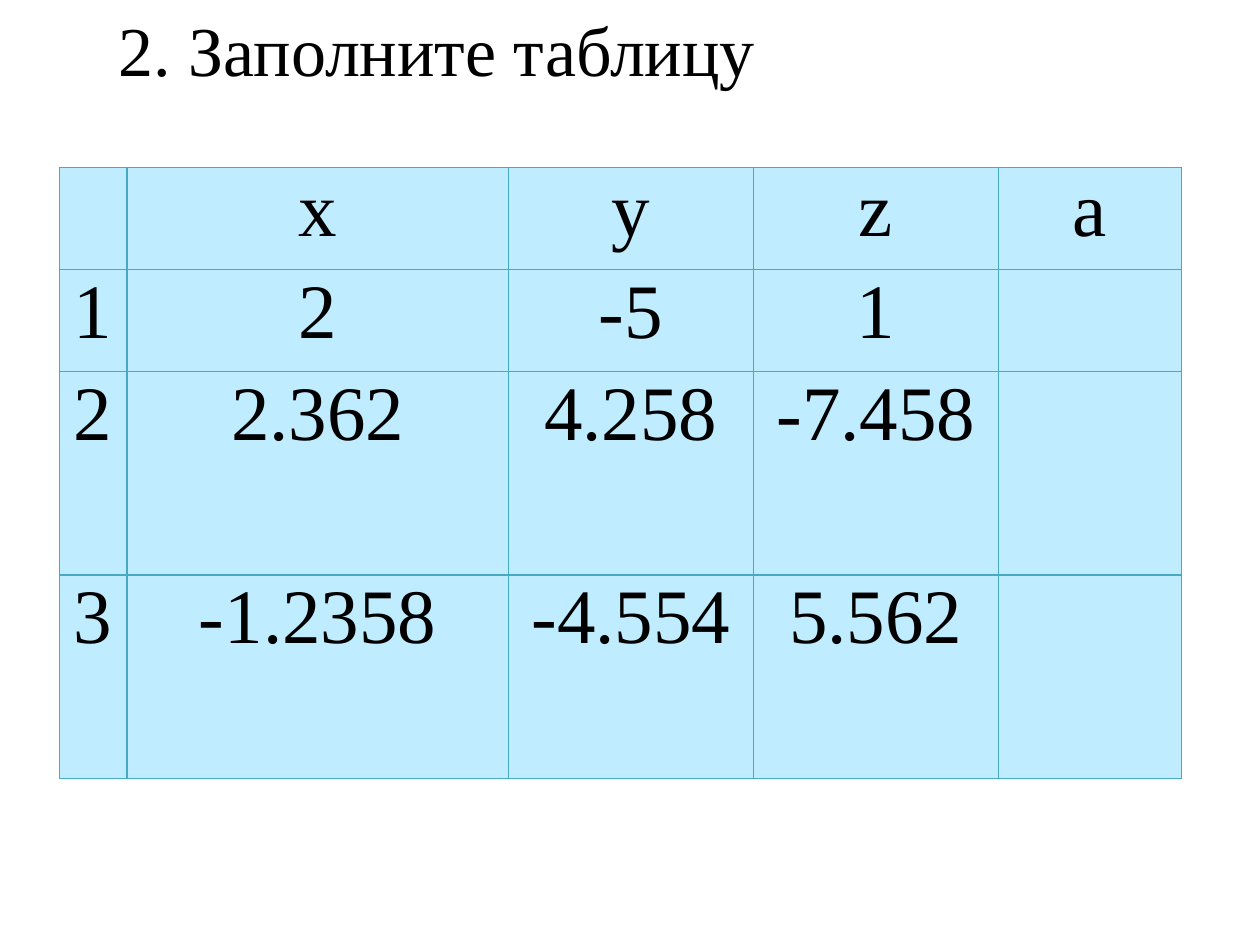
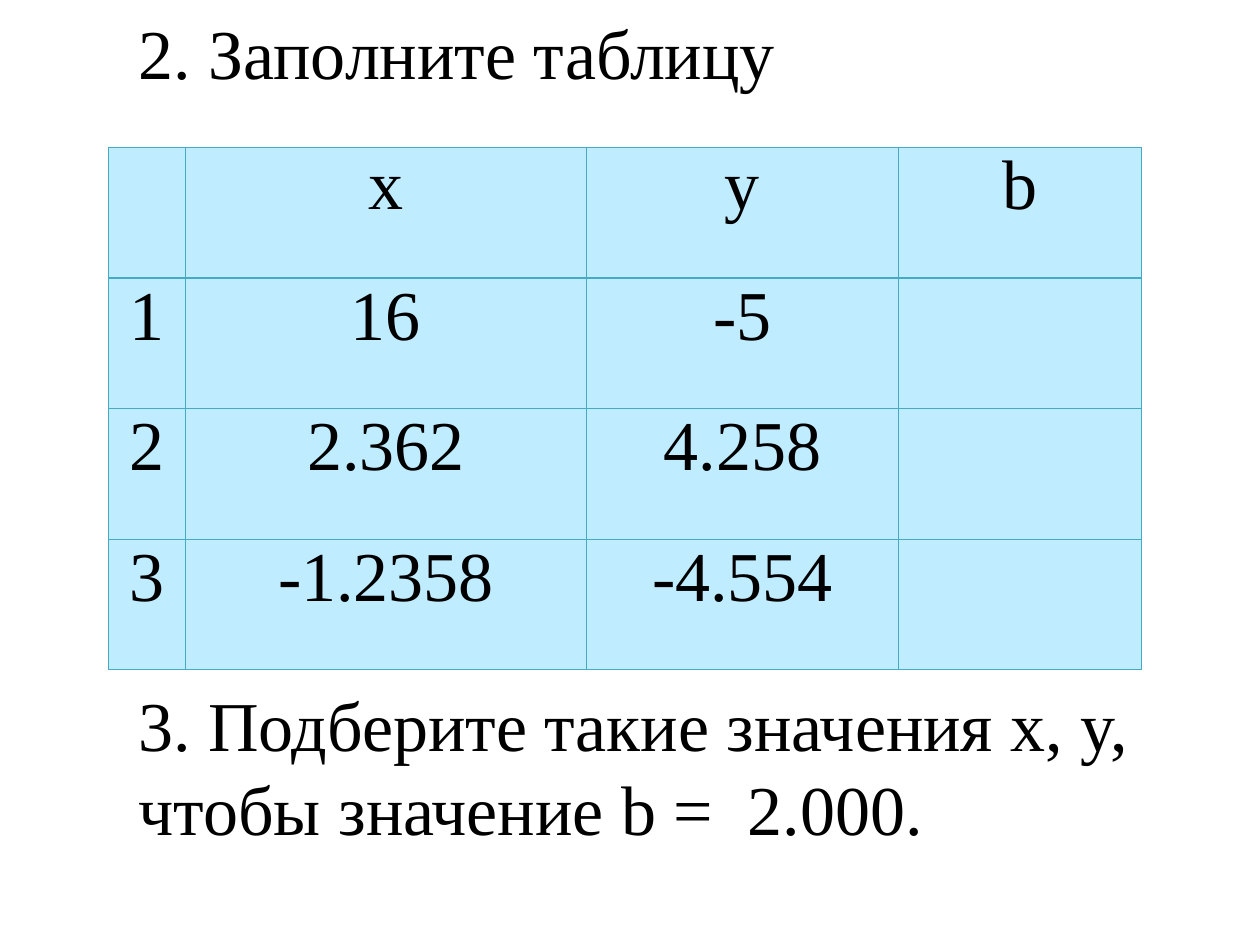
from lxml import etree
from pptx import Presentation
from pptx.dml.color import RGBColor
from pptx.enum import text
from pptx.oxml import ns
from pptx.util import Pt

COLORS = {"text": "000000", "cell": "C0ECFF", "border": "46AAC5"}
FONT = "Times New Roman"
TITLE = "2. Заполните таблицу"
TITLE_ONLY, TITLE_AND_BODY = 5, 1


class Deck:
    """Holds the shared style and the slide being filled."""

    def __init__(self):
        self.presentation = Presentation()
        self.presentation.slide_width = Pt(720)
        self.presentation.slide_height = Pt(540)
        self.slide = None

    def add_slide(self, layout):
        layouts = self.presentation.slide_layouts
        self.slide = self.presentation.slides.add_slide(layouts[layout])

    def format_runs(self, paragraph, size):
        for run in paragraph.runs:
            run.font.name = FONT
            run.font.size = Pt(size)
            run.font.color.rgb = RGBColor.from_string(COLORS["text"])

    def placeholder(self, index, lines, left, top, width, height):
        shape = self.slide.placeholders[index]
        shape.left, shape.top = Pt(left), Pt(top)
        shape.width, shape.height = Pt(width), Pt(height)
        frame = shape.text_frame
        frame.text = "\n".join(lines)
        frame.word_wrap = True
        frame.auto_size = text.MSO_AUTO_SIZE.NONE
        frame.vertical_anchor = text.MSO_ANCHOR.TOP
        for paragraph in frame.paragraphs:
            paragraph.alignment = text.PP_ALIGN.LEFT
            paragraph.space_before = Pt(0)
            properties = paragraph._p.get_or_add_pPr()
            properties.set("marL", "0")
            properties.set("indent", str(Pt(16)))
            etree.SubElement(properties, ns.qn("a:buNone"))
            self.format_runs(paragraph, 40)

    def border(self, cell):
        properties = cell._tc.get_or_add_tcPr()
        for position, side in enumerate(("lnL", "lnR", "lnT", "lnB")):
            line = etree.Element(ns.qn("a:" + side), w=str(Pt(0.75)))
            fill = etree.SubElement(line, ns.qn("a:solidFill"))
            etree.SubElement(fill, ns.qn("a:srgbClr"), val=COLORS["border"])
            properties.insert(position, line)

    def table(self, rows, left, top, widths, heights, size):
        table = self.slide.shapes.add_table(
            len(rows), len(widths), Pt(left), Pt(top),
            Pt(sum(widths)), Pt(sum(heights))).table
        table.first_row = table.horz_banding = False
        for column, width in zip(table.columns, widths):
            column.width = Pt(width)
        for row, height, values in zip(table.rows, heights, rows):
            row.height = Pt(height)
            for cell, value in zip(row.cells, values):
                cell.text = value
                cell.margin_left = cell.margin_right = Pt(5)
                cell.margin_top = cell.margin_bottom = Pt(0)
                cell.fill.solid()
                cell.fill.fore_color.rgb = RGBColor.from_string(COLORS["cell"])
                self.border(cell)
                paragraph = cell.text_frame.paragraphs[0]
                paragraph.alignment = text.PP_ALIGN.CENTER
                self.format_runs(paragraph, size)


deck = Deck()

deck.add_slide(TITLE_ONLY)
deck.placeholder(0, [TITLE], 44.6, 0, 398, 55.4)
deck.table(
    [["", "x", "y", "z", "a"],
     ["1", "2", "-5", "1", ""],
     ["2", "2.362", "4.258", "-7.458", ""],
     ["3", "-1.2358", "-4.554", "5.562", ""]],
    34, 95.8, [38.6, 218, 140, 140, 104.5], [58.2, 58.2, 116.4, 116.4], 44)

deck.add_slide(TITLE_AND_BODY)
deck.placeholder(0, [TITLE], 56, 2, 613, 55.4)
deck.placeholder(
    1, ["3. Подберите такие значения x, y, ", "чтобы значение b =\u00a0 2.000."],
    56, 386, 613, 104)
deck.table(
    [["", "x", "y", "b"],
     ["1", "16", "-5", ""],
     ["2", "2.362", "4.258", ""],
     ["3", "-1.2358", "-4.554", ""]],
    62, 84.3, [44, 229, 178.5, 139], [74.6] * 4, 40)

deck.presentation.save("out.pptx")
